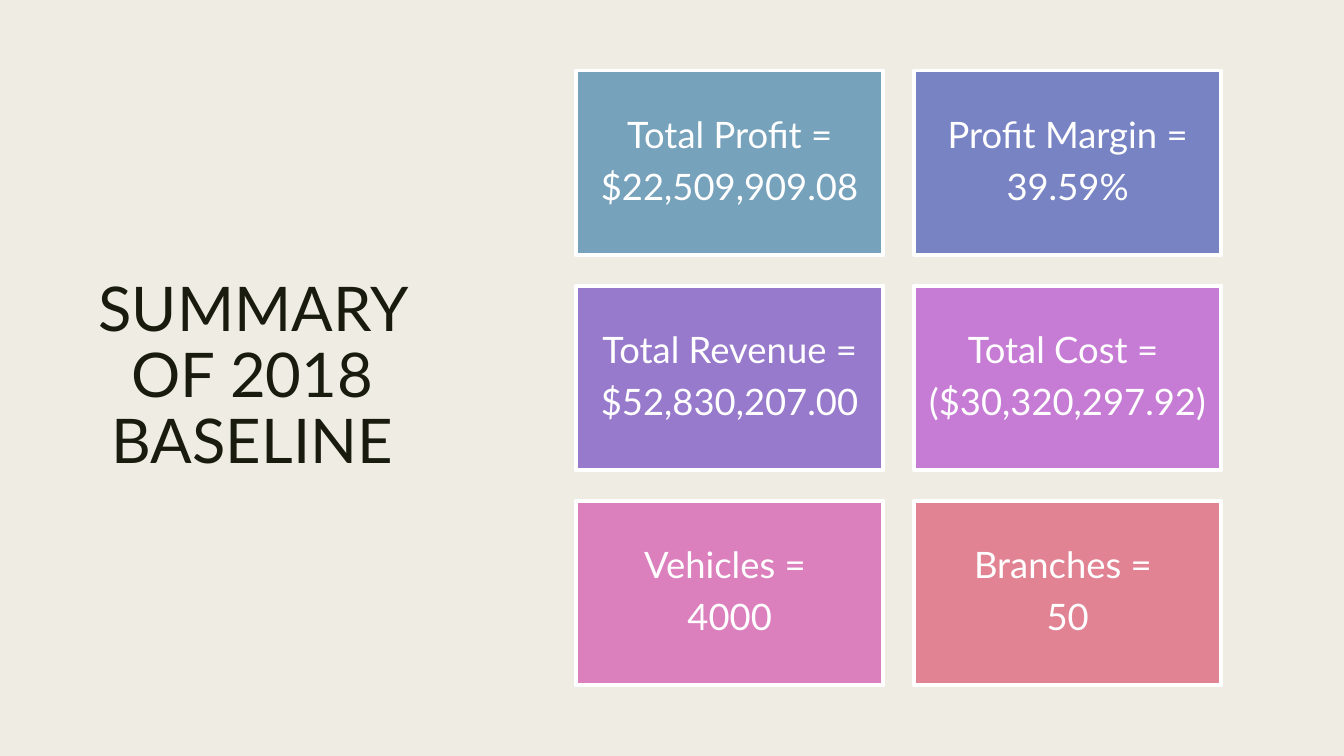
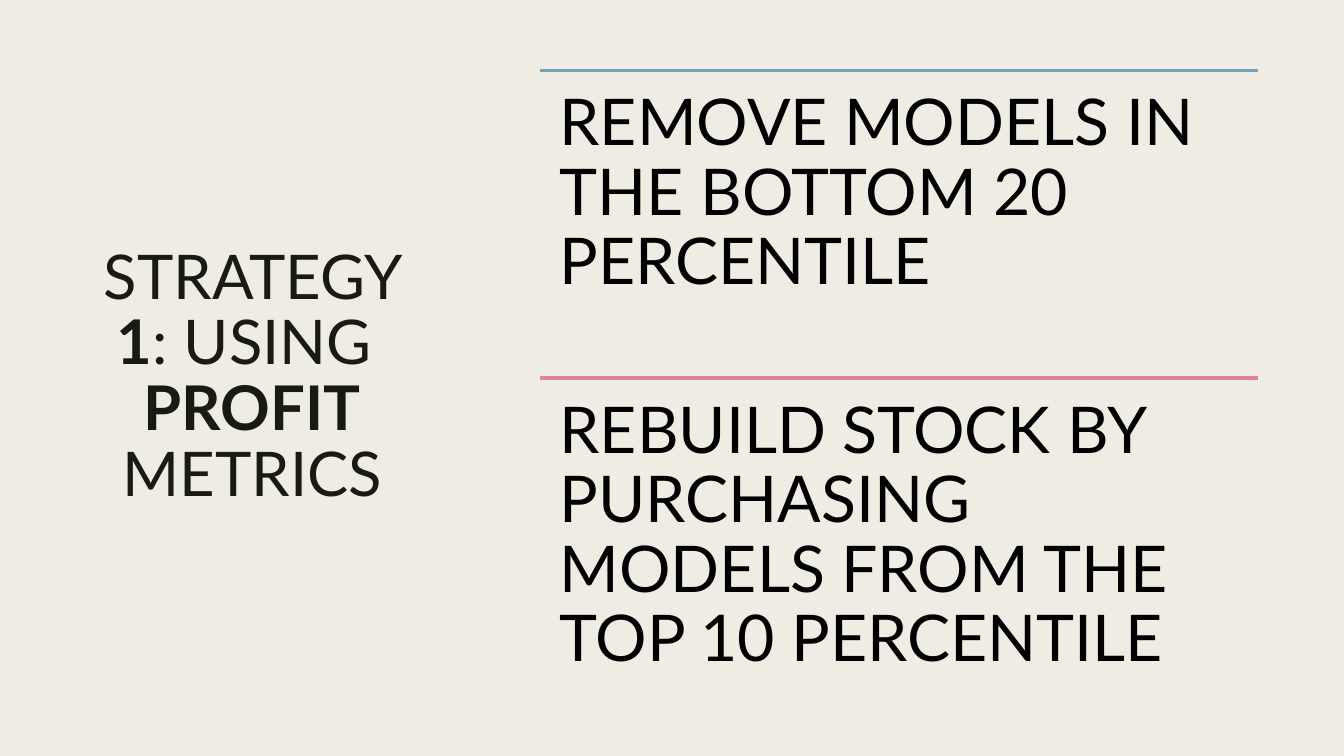
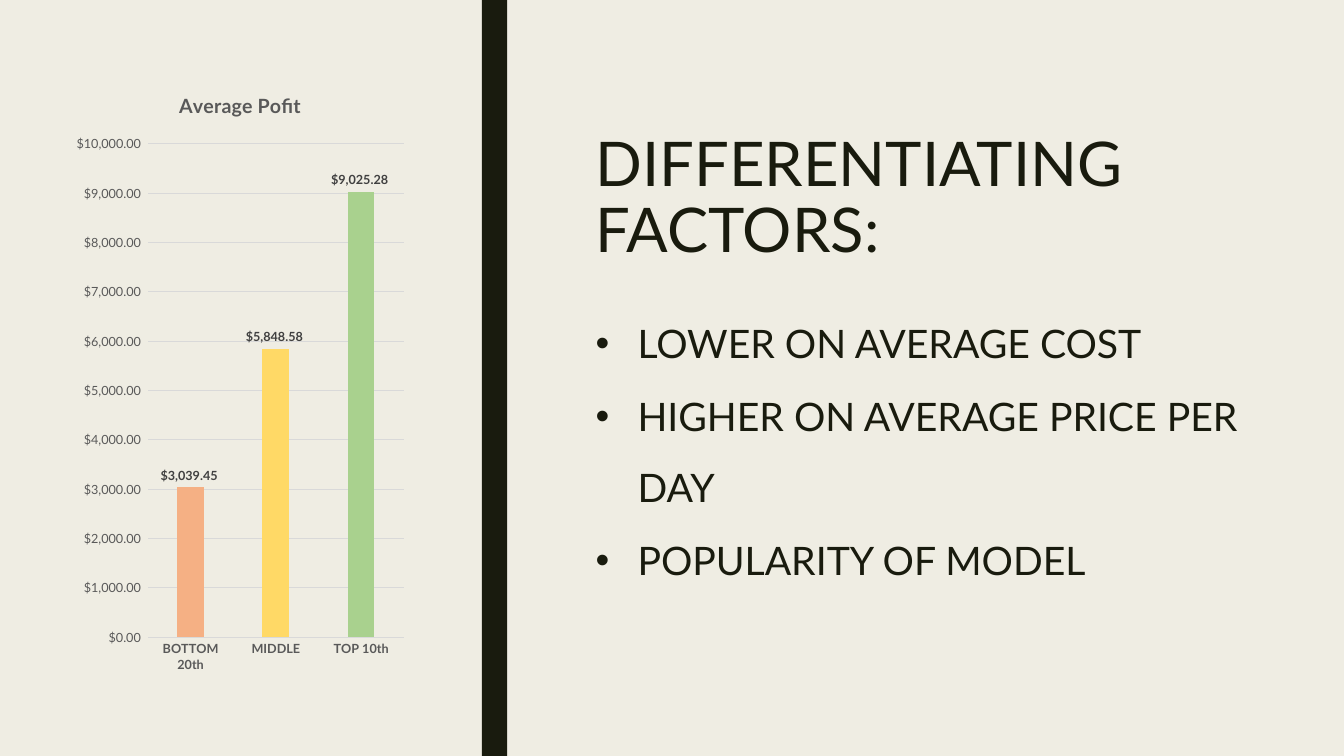
from dataclasses import dataclass

from lxml import etree
from pptx import Presentation
from pptx.chart.data import CategoryChartData
from pptx.dml.color import RGBColor
from pptx.enum import chart as charts, shapes, text
from pptx.oxml.ns import qn
from pptx.util import Pt

# Content
LINE_BREAK = None
SUMMARY_TITLE = [("SUMMARY OF 2018 BASELINE", False)]
SUMMARY_CARDS = [
    ("Total Profit =", "$22,509,909.08", "77A2BB"),
    ("Profit Margin =", "39.59%", "7883C4"),
    ("Total Revenue =", "$52,830,207.00", "977ACC"),
    ("Total Cost = ", "($30,320,297.92)", "C67CD4"),
    ("Vehicles = ", "4000", "DB7FBD"),
    ("Branches = ", "50", "E28394"),
]
STRATEGY_TITLE = [
    ("STRATEGY ", False), ("1", True), (": USING ", False), LINE_BREAK,
    ("PROFIT", True), (" METRICS", False),
]
STRATEGY_STEPS = [
    ("REMOVE MODELS IN THE BOTTOM 20 PERCENTILE", "77A2BB"),
    ("REBUILD STOCK BY PURCHASING MODELS FROM THE TOP 10 PERCENTILE", "E28394"),
]
FACTORS_TITLE = [("DIFFERENTIATING FACTORS:", False)]
FACTORS = [
    "LOWER ON AVERAGE COST",
    "HIGHER ON AVERAGE PRICE PER DAY",
    "POPULARITY OF MODEL",
]
PROFIT_NAME = "Average Pofit"
PROFIT_BARS = [
    ("BOTTOM 20th", 3039.45, "F5B084"),
    ("MIDDLE", 5848.58, "FFD966"),
    ("TOP 10th", 9025.28, "A9D18E"),
]
DOLLARS = '"$"#,##0.00_);[Red]\\("$"#,##0.00\\)'


@dataclass(frozen=True)
class Theme:
    """Colours, type sizes and line widths shared by the slides."""
    font: str = "Lato"
    background: str = "EFEDE3"
    ink: str = "191B0E"
    white: str = "FFFFFF"
    black: str = "000000"
    chart_text: str = "595959"
    label_text: str = "404040"
    grid: str = "D9D9D9"
    series: str = "8C8D86"
    title: float = 44
    step: float = 46
    bullet: float = 28
    card: float = 26
    chart_title: float = 14
    chart_base: float = 10
    chart_small: float = 9
    rule: float = 2.75
    hairline: float = 0.75


THEME = Theme()
WIDTH, HEIGHT = 960, 540
MARGIN = 50.4
CONTENT_HEIGHT = HEIGHT - 2 * MARGIN
SIDE_TITLE = (MARGIN, MARGIN, 259.8, CONTENT_HEIGHT)


def rgb(colour):
    """Turn a hex string into a colour."""
    return RGBColor.from_string(colour)


def set_fill(fill, colour):
    """Make a fill solid in one colour."""
    fill.solid()
    fill.fore_color.rgb = rgb(colour)


def style_font(font, size, colour, bold=False):
    """Format a run or chart font."""
    font.name, font.size, font.bold = THEME.font, Pt(size), bold
    font.color.rgb = rgb(colour)


def style_line(line, colour, width):
    """Give a line its colour and width."""
    line.color.rgb = rgb(colour)
    line.width = Pt(width)


def place(shape, left, top, width, height):
    """Move and size a shape, in points."""
    shape.left, shape.top = Pt(left), Pt(top)
    shape.width, shape.height = Pt(width), Pt(height)


def style_paragraph(paragraph, size, colour, align, spacing, after=0):
    """Format a paragraph that holds its text already."""
    paragraph.alignment, paragraph.line_spacing = align, spacing
    paragraph.space_before, paragraph.space_after = Pt(0), Pt(after)
    for run in paragraph.runs:
        style_font(run.font, size, colour, run.font.bold)


def set_frame(frame, anchor, inset=None):
    """Wrap a text frame and set its anchor and, if given, equal insets."""
    frame.word_wrap, frame.auto_size = True, text.MSO_AUTO_SIZE.NONE
    frame.vertical_anchor = anchor
    if inset is not None:
        frame.margin_left = frame.margin_right = Pt(inset)
        frame.margin_top = frame.margin_bottom = Pt(inset)


def add_slide(presentation, layout, title, box, align, anchor):
    """Add a slide whose title placeholder fills the given box."""
    slide = presentation.slides.add_slide(presentation.slide_layouts[layout])
    place(slide.shapes.title, *box)
    frame = slide.shapes.title.text_frame
    set_frame(frame, anchor)
    paragraph = frame.paragraphs[0]
    for part in title:
        if part is LINE_BREAK:
            paragraph.add_line_break()
        else:
            run = paragraph.add_run()
            run.text, run.font.bold = part
    style_paragraph(paragraph, THEME.title, THEME.ink, align, 0.89)
    return slide


def add_side_title_slide(presentation, title):
    """Add a slide with a centred title down the left side."""
    return add_slide(presentation, 5, title, SIDE_TITLE,
                     text.PP_ALIGN.CENTER, text.MSO_ANCHOR.MIDDLE)


def add_rect(slide, box, colour):
    """Add a plain rectangle without line or shadow."""
    rect = slide.shapes.add_shape(shapes.MSO_SHAPE.RECTANGLE, *map(Pt, box))
    rect.shadow.inherit = False
    set_fill(rect.fill, colour)
    rect.line.fill.background()
    return rect


def build_summary(presentation):
    """Build the grid of baseline figures."""
    slide = add_side_title_slide(presentation, SUMMARY_TITLE)
    left, columns, rows, gap, width = 411.5, 2, 3, 21.9, 219.5
    height = (CONTENT_HEIGHT - (rows - 1) * gap) / rows
    for index, (label, value, colour) in enumerate(SUMMARY_CARDS):
        row, column = divmod(index, columns)
        card = add_rect(slide, (left + column * (width + gap),
                                MARGIN + row * (height + gap), width, height), colour)
        style_line(card.line, THEME.white, THEME.rule)
        frame = card.text_frame
        set_frame(frame, text.MSO_ANCHOR.MIDDLE, 7.8)
        frame.text = f"{label}\n{value}"
        for paragraph in frame.paragraphs:
            style_paragraph(paragraph, THEME.card, THEME.white,
                            text.PP_ALIGN.CENTER, 0.9, 0.35 * THEME.card)


def build_strategy(presentation):
    """Build the strategy steps, each under a coloured rule."""
    slide = add_side_title_slide(presentation, STRATEGY_TITLE)
    set_fill(slide.shapes.title.fill, THEME.background)
    left, width = 386, 512.5
    height = CONTENT_HEIGHT / len(STRATEGY_STEPS)
    for index, (step, colour) in enumerate(STRATEGY_STEPS):
        top = MARGIN + index * height
        rule = slide.shapes.add_connector(
            shapes.MSO_CONNECTOR.STRAIGHT, Pt(left), Pt(top), Pt(left + width), Pt(top))
        style_line(rule.line, colour, THEME.rule)
        etree.SubElement(rule._element.spPr, qn("a:effectLst"))
        box = slide.shapes.add_textbox(Pt(left), Pt(top), Pt(width), Pt(height))
        set_frame(box.text_frame, text.MSO_ANCHOR.TOP, 13.8)
        box.text_frame.text = step
        style_paragraph(box.text_frame.paragraphs[0], THEME.step, THEME.black,
                        text.PP_ALIGN.LEFT, 0.9, 0.35 * THEME.step)


def add_profit_chart(slide):
    """Add the column chart of average profit."""
    names, values, colours = zip(*PROFIT_BARS)
    data = CategoryChartData(number_format=DOLLARS)
    data.categories = names
    data.add_series(PROFIT_NAME, values)
    chart = slide.shapes.add_chart(
        charts.XL_CHART_TYPE.COLUMN_CLUSTERED, Pt(49.8), Pt(50.2),
        Pt(243.4), Pt(CONTENT_HEIGHT), data).chart
    style_font(chart.font, THEME.chart_base, THEME.black)
    chart.has_legend = False
    chart.has_title = True
    chart.chart_title.include_in_layout = False
    title = chart.chart_title.text_frame
    title.text = PROFIT_NAME
    style_font(title.paragraphs[0].runs[0].font, THEME.chart_title, THEME.chart_text, True)

    for axis, bold in ((chart.category_axis, True), (chart.value_axis, False)):
        axis.major_tick_mark = axis.minor_tick_mark = charts.XL_TICK_MARK.NONE
        style_font(axis.tick_labels.font, THEME.chart_small, THEME.chart_text, bold)
    style_line(chart.category_axis.format.line, THEME.grid, THEME.hairline)
    scale = chart.value_axis
    scale.minimum_scale, scale.maximum_scale, scale.major_unit = 0, 10000, 1000
    scale.format.line.fill.background()
    style_line(scale.major_gridlines.format.line, THEME.grid, THEME.hairline)
    scale.tick_labels.number_format = DOLLARS
    scale.tick_labels.number_format_is_linked = False

    plot = chart.plots[0]
    plot.gap_width, plot.overlap, plot.vary_by_categories = 219, -27, False
    series = plot.series[0]
    bars = [series.format] + [series.points[i].format for i in range(len(colours))]
    for bar, colour in zip(bars, (THEME.series, *colours)):
        set_fill(bar.fill, colour)
    labels = series.data_labels
    labels.show_value = True
    labels.position = charts.XL_LABEL_POSITION.OUTSIDE_END
    labels.number_format, labels.number_format_is_linked = DOLLARS, False
    style_font(labels.font, THEME.chart_small, THEME.label_text, True)


def set_bullet(paragraph, indent):
    """Give a paragraph a round bullet and a hanging indent."""
    properties = paragraph._p.get_or_add_pPr()
    properties.set("marL", str(Pt(indent)))
    properties.set("indent", str(-Pt(indent)))
    etree.SubElement(properties, qn("a:buChar"), char="•")


def build_factors(presentation):
    """Build the chart, the dividing band and the list of factors."""
    left, width = 418.2, 486.7
    slide = add_slide(presentation, 1, FACTORS_TITLE, (left, 92.2, width, 105.8),
                      text.PP_ALIGN.LEFT, text.MSO_ANCHOR.TOP)
    add_rect(slide, (344.2, 0, 18, HEIGHT), THEME.ink)
    add_profit_chart(slide)
    body = slide.placeholders[1]
    place(body, left, 207.6, width, 157.7)
    frame = body.text_frame
    set_frame(frame, text.MSO_ANCHOR.TOP)
    frame.auto_size = text.MSO_AUTO_SIZE.SHAPE_TO_FIT_TEXT
    frame.text = "\n".join(FACTORS)
    for paragraph in frame.paragraphs:
        style_paragraph(paragraph, THEME.bullet, THEME.ink, text.PP_ALIGN.LEFT, 1.5, 2)
        set_bullet(paragraph, 30)


def main():
    """Build and save the presentation."""
    presentation = Presentation()
    presentation.slide_width, presentation.slide_height = Pt(WIDTH), Pt(HEIGHT)
    set_fill(presentation.slide_master.background.fill, THEME.background)
    build_summary(presentation)
    build_strategy(presentation)
    build_factors(presentation)
    presentation.save("out.pptx")


main()
